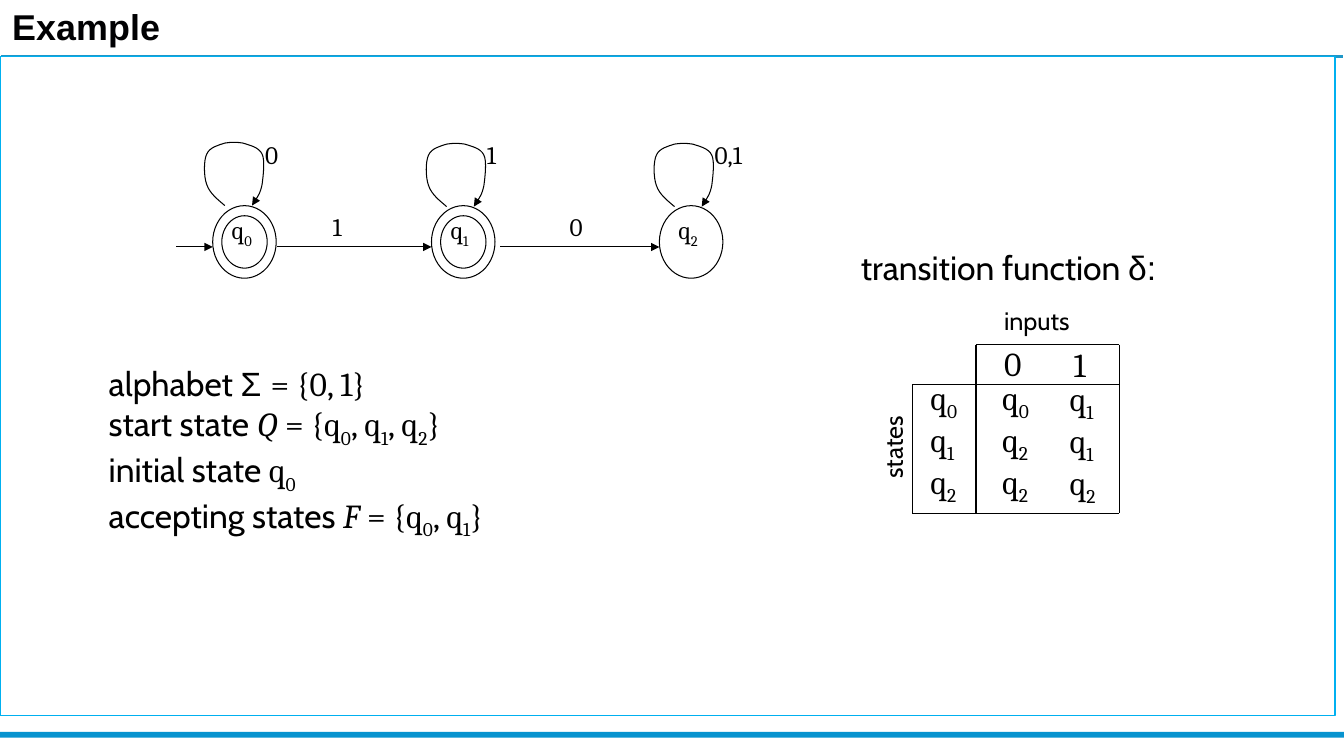
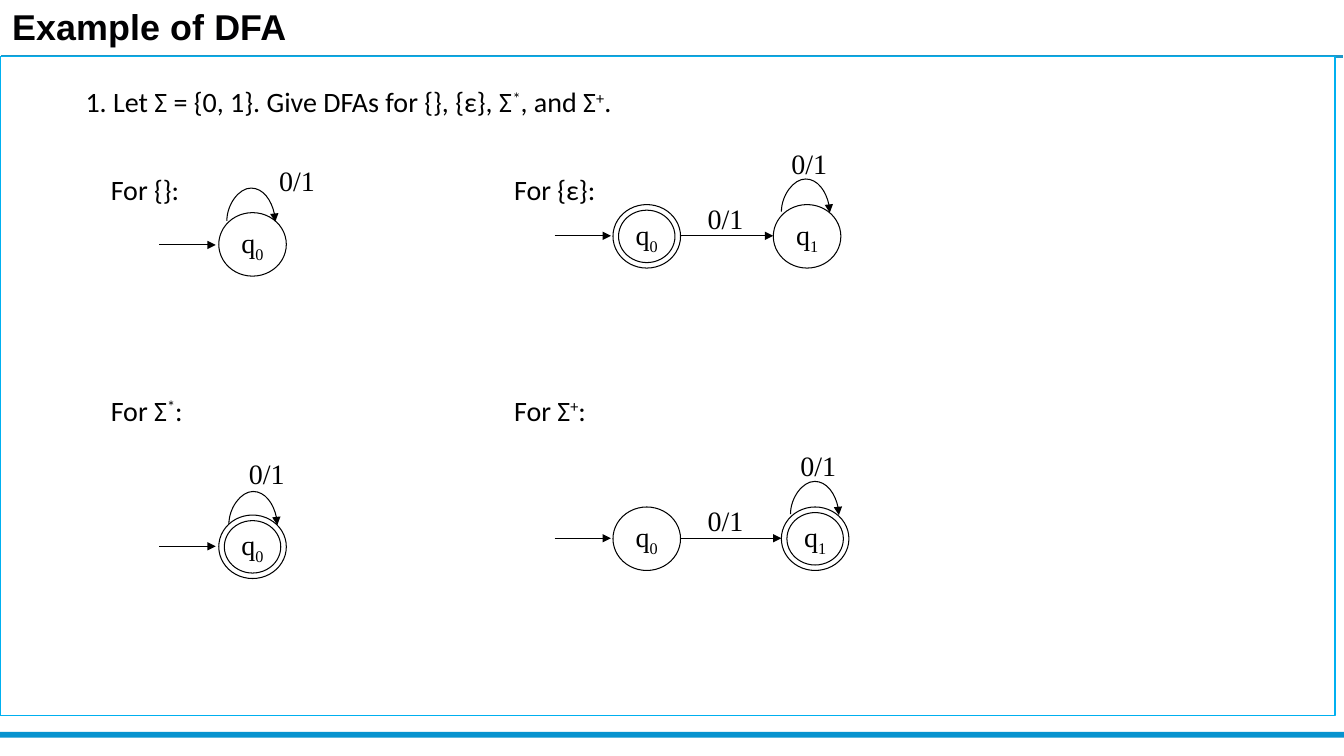
from lxml.etree import SubElement
from pptx import Presentation
from pptx.dml.color import RGBColor
from pptx.enum.shapes import MSO_CONNECTOR, MSO_SHAPE
from pptx.enum.text import MSO_ANCHOR, MSO_AUTO_SIZE, PP_ALIGN
from pptx.oxml.ns import qn
from pptx.util import Inches, Pt

BLACK, WHITE = "000000", "FFFFFF"
FRAME, RULE, BAND = "00B0F0", "1F97C8", "0793CF"


def write(p, text, fmt, colour=BLACK):
    """Add runs split at "|"; a part led by _ is subscript, by ^ superscript."""
    for part in text.split("|"):
        r = p.add_run()
        r.text = part.lstrip("_^")
        r.font.color.rgb = RGBColor.from_string(colour)
        for name, value in fmt.items():
            setattr(r.font, name, value)
        if part[0] in "_^":
            r._r.get_or_add_rPr().set("baseline", "-25000" if part[0] == "_" else "30000")


def stroke(sp, colour=BLACK, width=0.75, arrow=False):
    """Give a shape or connector a plain line without shadow."""
    sp.line.color.rgb = RGBColor.from_string(colour)
    sp.line.width = Pt(width)
    if arrow:
        SubElement(sp.line._get_or_add_ln(), qn("a:tailEnd")).set("type", "triangle")
    SubElement(sp._element.spPr, qn("a:effectLst"))


prs = Presentation()
prs.slide_width, prs.slide_height = Inches(13.33), Inches(7.5)

# Shared title, rule, bottom band and frame
for title in ("Example", "Example of DFA"):
    s = prs.slides.add_slide(prs.slide_layouts[5])
    rule = s.shapes.add_connector(MSO_CONNECTOR.STRAIGHT, Inches(0.01), Inches(0.56),
                                  Inches(13.32), Inches(0.56))
    stroke(rule, RULE, 2.25)
    band = s.shapes.add_shape(MSO_SHAPE.RECTANGLE, 0, Inches(7.26), prs.slide_width, Inches(0.06))
    band.fill.solid()
    band.fill.fore_color.rgb = RGBColor.from_string(BAND)
    band.line.fill.background()
    band.shadow.inherit = False
    frame = s.shapes.add_shape(MSO_SHAPE.RECTANGLE, 0, Inches(0.56), Inches(13.24), Inches(6.54))
    frame.fill.solid()
    frame.fill.fore_color.rgb = RGBColor.from_string(WHITE)
    stroke(frame, FRAME, 1)

    sp = s.shapes.title
    sp.left, sp.top, sp.width, sp.height = (Inches(v) for v in (0.1, 0.05, 7.89, 0.43))
    tf = sp.text_frame
    for name, value in {"margin_left": Inches(0.02), "margin_right": 0, "margin_top": 0,
                        "margin_bottom": 0, "vertical_anchor": MSO_ANCHOR.TOP,
                        "auto_size": MSO_AUTO_SIZE.NONE}.items():
        setattr(tf, name, value)
    p = tf.paragraphs[0]
    p.alignment = PP_ALIGN.LEFT
    write(p, title, {"name": "Arial", "size": Pt(25.6), "bold": True}, "010103")
    p.runs[0]._r.get_or_add_rPr().set("spc", "10")

# Text formats
serif18 = {"name": "Cambria", "size": Pt(18)}
serif24 = {"name": "Cambria", "size": Pt(24)}
italic24 = {**serif24, "italic": True}
cabin18 = {"name": "Cabin", "size": Pt(18)}
cabin24 = {"name": "Cabin", "size": Pt(24)}
arial24 = {"name": "Arial", "size": Pt(24)}
calibri20 = {"name": "Calibri", "size": Pt(20)}
times20 = {"name": "Times New Roman", "size": Pt(20)}

# Exercise text: space before in points, text
s = prs.slides[1]
sp = s.shapes.add_textbox(Inches(0.75), Inches(0.36), Inches(8.51), Inches(6.49))
tf = sp.text_frame
tf.word_wrap = True
tf.margin_top = Inches(0.52)
exercise = [(0, "1. Let Σ = {0, 1}. Give DFAs for {}, {ε}, Σ|^*|, and Σ|^+|."),
            (41, "\tFor {}:\tFor {ε}:"),
            (136, "\tFor Σ|^*|:\tFor Σ|^+|:")]
for i, (space, text) in enumerate(exercise):
    p = tf.add_paragraph() if i else tf.paragraphs[0]
    p.line_spacing = 0.9
    p.space_before = Pt(space)
    tabs = SubElement(p._p.get_or_add_pPr(), qn("a:tabLst"))
    for stop in (0.25, 4.25):
        SubElement(tabs, qn("a:tab"), pos=str(Inches(stop)), algn="l")
    write(p, text, calibri20)

# Automata: states are (left, top, label, accepting), arrows (from x, to x, y)
automata = [
    {"size": (0.63, 0.72), "gap": (0.09, 0.1),
     "states": [(2.11, 2.04, "", True), (4.28, 2.04, "", True), (6.54, 2.04, "", False)],
     "arrows": [(1.75, 2.11, 2.45), (2.75, 4.28, 2.45), (4.96, 6.54, 2.45)]},
    {"size": (0.67, 0.63), "gap": (0.055, 0.055),
     "states": [(2.17, 2.11, "q|_0", False), (2.17, 5.11, "q|_0", True),
                (6.08, 2.03, "q|_0", True), (7.67, 2.03, "q|_1", False),
                (6.08, 5.03, "q|_0", False), (7.75, 5.03, "q|_1", True)],
     "arrows": [(1.58, 2.14, 2.43), (1.58, 2.14, 5.42), (5.5, 6.06, 2.34), (6.75, 7.67, 2.34),
                (5.5, 6.06, 5.34), (6.75, 7.75, 5.34)]},
]
for s, dfa in zip(prs.slides, automata):
    w, h = dfa["size"]
    dx, dy = dfa["gap"]
    for x, y, label, accepting in dfa["states"]:
        for i in range(1 + accepting):
            sp = s.shapes.add_shape(MSO_SHAPE.OVAL, Inches(x + i * dx), Inches(y + i * dy),
                                    Inches(w - 2 * i * dx), Inches(h - 2 * i * dy))
            sp.fill.background()
            stroke(sp)
        # The label sits in the innermost ring
        if label:
            tf = sp.text_frame
            tf.word_wrap = False
            tf.vertical_anchor = MSO_ANCHOR.MIDDLE
            tf.paragraphs[0].alignment = PP_ALIGN.CENTER
            write(tf.paragraphs[0], label, times20)
    for x1, x2, y in dfa["arrows"]:
        arrow = s.shapes.add_connector(MSO_CONNECTOR.STRAIGHT, Inches(x1), Inches(y),
                                       Inches(x2), Inches(y))
        stroke(arrow, arrow=True)

# Tall self-loops: start point, then three Bézier points per segment
TALL_LOOP = [(0.21, 0.63),
             (0.14, 0.57), (0.06, 0.51), (0.03, 0.42), (0, 0.34), (0, 0.18), (0.03, 0.12),
             (0.06, 0.05), (0.15, 0.03), (0.21, 0.01), (0.27, 0), (0.33, 0), (0.39, 0.01),
             (0.45, 0.03), (0.55, 0.05), (0.58, 0.12), (0.61, 0.18), (0.59, 0.34), (0.58, 0.42),
             (0.56, 0.51), (0.52, 0.57), (0.48, 0.63)]
for x, y in [(2.02, 1.41), (4.22, 1.42), (6.48, 1.42)]:
    pts = [(Inches(x + px), Inches(y + py)) for px, py in TALL_LOOP]
    builder = prs.slides[0].shapes.build_freeform(*pts[0])
    builder.add_line_segments(pts[1:], close=False)
    sp = builder.convert_to_shape()
    # Turn each three line points into one Bézier segment
    outline = sp._element.find(".//" + qn("a:path"))
    for i, line in enumerate(outline.findall(qn("a:lnTo"))):
        if i % 3 == 0:
            bezier = SubElement(outline, qn("a:cubicBezTo"))
        bezier.append(line[0])
        outline.remove(line)
    sp.fill.background()
    stroke(sp, arrow=True)

# Arched self-loops: curved connectors turned upright, bulging far above their ends
SPAN, THIN, RISE = 0.48, 0.01, 0.33
for x, y in [(2.25, 2.19), (2.27, 5.2), (7.75, 2.1), (7.84, 5.1)]:
    left, top = x + (SPAN - THIN) / 2, y - (SPAN - THIN) / 2
    loop = prs.slides[1].shapes.add_connector(MSO_CONNECTOR.CURVE, Inches(left), Inches(top),
                                              Inches(left + THIN), Inches(top + SPAN))
    xfrm = loop._element.spPr.find(qn("a:xfrm"))
    xfrm.set("rot", "5400000")
    xfrm.set("flipV", "1")
    SubElement(loop._element.find(".//" + qn("a:avLst")), qn("a:gd"), name="adj1",
               fmla=f"val {round(-RISE / THIN * 100000)}")
    stroke(loop, arrow=True)

# Transition table frame: from x, from y, to x, to y
for ends in [(9.68, 3.42, 11.1, 3.42), (9.05, 3.81, 11.1, 3.81), (9.05, 5.09, 11.1, 5.09),
             (9.05, 3.81, 9.05, 5.09), (9.68, 3.42, 9.68, 5.09), (11.1, 3.42, 11.1, 5.09)]:
    edge = prs.slides[0].shapes.add_connector(MSO_CONNECTOR.STRAIGHT, *(Inches(v) for v in ends))
    stroke(edge)

# Text boxes: left, top, width, height, rotation, lines of (text, format)
definition = [
    [("alphabet ", cabin24), ("Σ ", arial24), ("= {0, 1}", serif24)],
    [("start state ", cabin24), ("Q", italic24), (" = {q|_0|, q|_1|, q|_2|}", serif24)],
    [("initial state ", cabin24), ("q|_0", serif24)],
    [("accepting states ", cabin24), ("F", italic24), (" = {q|_0|, q|_1|}", serif24)],
]
texts = [
    [(0.98, 3.55, 4.91, 1.72, 0, definition),
     (8.44, 2.4, 3.19, 0.5, 0, [[("transition function ", cabin24), ("δ:", arial24)]]),
     (9.86, 2.98, 0.86, 0.4, 0, [[("inputs", cabin18)]]),
     (8.43, 4.22, 0.85, 0.4, 270, [[("states", cabin18)]]),
     (9.86, 3.35, 0.36, 0.5, 0, [[("0", serif24)]]),
     (10.55, 3.36, 0.36, 0.5, 0, [[("1", serif24)]])],
    [],
]
for x, y, w, label in [(3.2, 2.05, 0.35, "1"), (5.55, 2.05, 0.35, "0"), (2.53, 1.33, 0.35, "0"),
                       (4.73, 1.33, 0.35, "1"), (6.99, 1.33, 0.53, "0,1"),
                       (2.2, 2.08, 0.44, "q|_0"), (4.37, 2.08, 0.44, "q|_1"),
                       (6.63, 2.08, 0.44, "q|_2")]:
    texts[0].append((x, y, w, 0.49, 0, [[(label, serif18)]]))
for x, top, column in [(9.13, 3.69, "012"), (9.84, 3.69, "022"), (10.51, 3.7, "112")]:
    for i, state in enumerate(column):
        texts[0].append((x, top + i * 0.415, 0.47, 0.5, 0, [[("q|_" + state, serif24)]]))
for x, y in [(2.67, 1.57), (2.37, 4.48), (7.75, 1.4), (6.92, 1.95), (6.92, 4.95), (7.84, 4.4)]:
    texts[1].append((x, y, 0.56, 0.41, 0, [[("0/1", times20)]]))

for s, boxes in zip(prs.slides, texts):
    for x, y, w, h, rotation, lines in boxes:
        sp = s.shapes.add_textbox(Inches(x), Inches(y), Inches(w), Inches(h))
        sp.rotation = rotation
        tf = sp.text_frame
        tf.word_wrap = len(lines) > 1
        tf.auto_size = MSO_AUTO_SIZE.SHAPE_TO_FIT_TEXT
        for i, line in enumerate(lines):
            p = tf.add_paragraph() if i else tf.paragraphs[0]
            for text, fmt in line:
                write(p, text, fmt)

prs.save("out.pptx")
